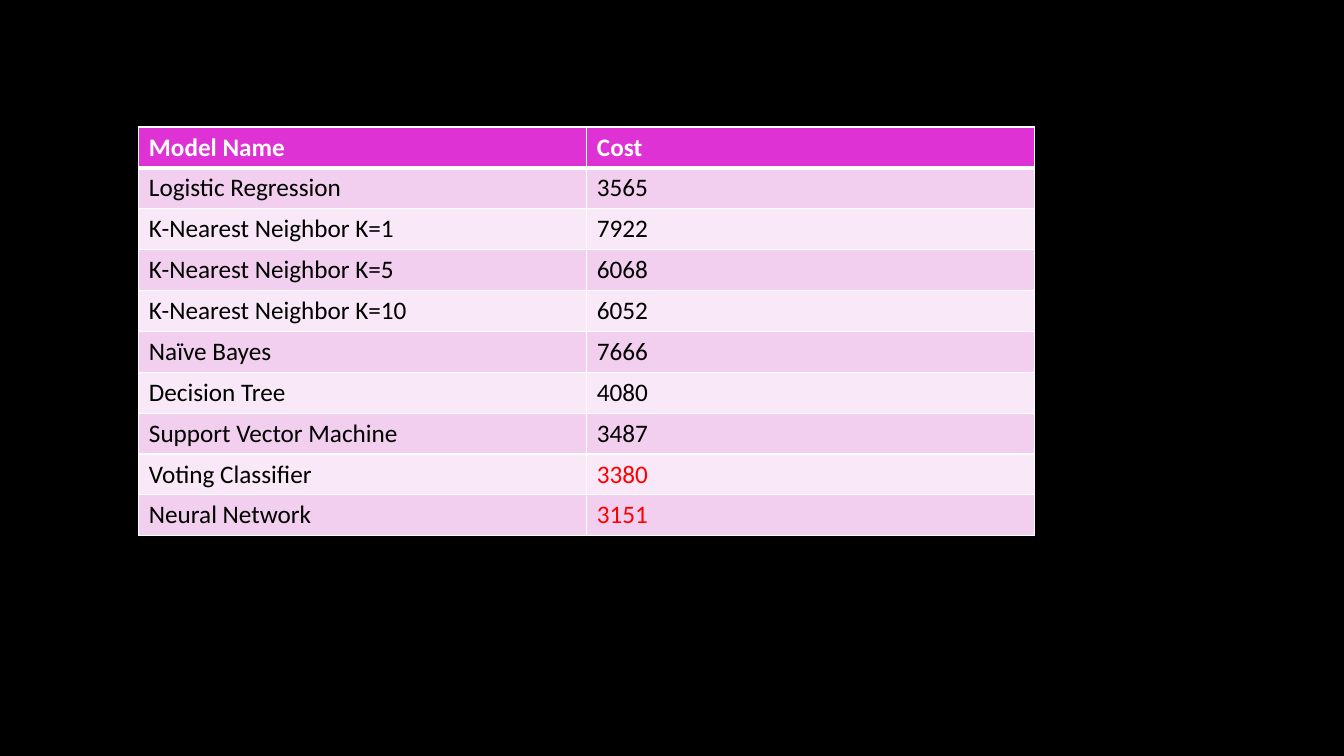
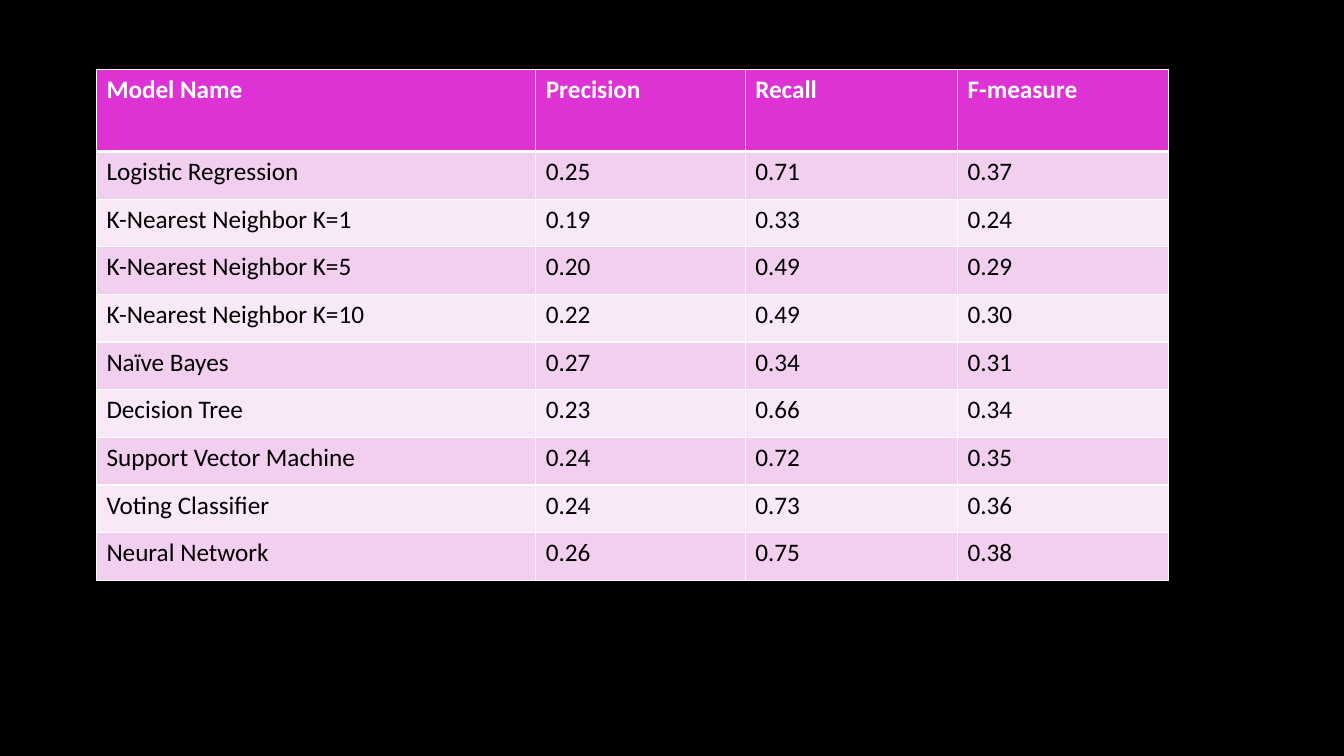
from lxml.etree import SubElement
from pptx import Presentation
from pptx.dml.color import RGBColor
from pptx.oxml.ns import qn
from pptx.util import Cm, Pt

BLACK = RGBColor(0x00, 0x00, 0x00)
WHITE = RGBColor(0xFF, 0xFF, 0xFF)
RED = RGBColor(0xFF, 0x00, 0x00)
MAGENTA = RGBColor(0xDE, 0x32, 0xD5)
PINK = RGBColor(0xF2, 0xCE, 0xEF)
PALE_PINK = RGBColor(0xF9, 0xE8, 0xF7)

RESULTS = [
    ("Logistic Regression", "3565", "0.25", "0.71", "0.37"),
    ("K-Nearest Neighbor K=1", "7922", "0.19", "0.33", "0.24"),
    ("K-Nearest Neighbor K=5", "6068", "0.20", "0.49", "0.29"),
    ("K-Nearest Neighbor K=10", "6052", "0.22", "0.49", "0.30"),
    ("Naïve Bayes", "7666", "0.27", "0.34", "0.31"),
    ("Decision Tree", "4080", "0.23", "0.66", "0.34"),
    ("Support Vector Machine", "3487", "0.24", "0.72", "0.35"),
    ("Voting Classifier", "3380", "0.24", "0.73", "0.36"),
    ("Neural Network", "3151", "0.26", "0.75", "0.38"),
]
BEST_COSTS = {"3380", "3151"}


class Deck:
    font_name = "Calibri"
    font_size = Pt(18)
    thin = Pt(1)
    thick = Pt(3)

    def __init__(self):
        self.presentation = Presentation()
        self.presentation.slide_width = Cm(33.87)
        self.presentation.slide_height = Cm(19.05)
        self.slide = None

    def add_slide(self):
        self.slide = self.presentation.slides.add_slide(self.presentation.slide_layouts[6])
        fill = self.slide.background.fill
        fill.solid()
        fill.fore_color.rgb = BLACK

    def add_table(self, left, top, widths, header_height, row_height, rows, highlights=()):
        heights = [header_height] + [row_height] * (len(rows) - 1)
        frame = self.slide.shapes.add_table(
            len(rows), len(widths), Cm(left), Cm(top), Cm(sum(widths)), Cm(sum(heights)))
        table = frame.table
        for column, width in zip(table.columns, widths):
            column.width = Cm(width)
        for row, height in zip(table.rows, heights):
            row.height = Cm(height)
        for row_index, values in enumerate(rows):
            for column_index, text in enumerate(values):
                cell = table.cell(row_index, column_index)
                self.style_cell(cell, row_index)
                self.add_cell_text(cell, text, row_index == 0, text in highlights)

    def style_cell(self, cell, row_index):
        top = self.thick if row_index == 1 else self.thin
        bottom = self.thick if row_index == 0 else self.thin
        sides = {"a:lnL": self.thin, "a:lnR": self.thin, "a:lnT": top, "a:lnB": bottom}
        properties = cell._tc.get_or_add_tcPr()
        for tag, width in sides.items():
            line = SubElement(properties, qn(tag), w=str(int(width)))
            SubElement(SubElement(line, qn("a:solidFill")), qn("a:srgbClr"), val=str(WHITE))
        cell.fill.solid()
        if row_index == 0:
            cell.fill.fore_color.rgb = MAGENTA
        else:
            cell.fill.fore_color.rgb = PINK if row_index % 2 else PALE_PINK

    def add_cell_text(self, cell, text, is_header, is_highlight):
        run = cell.text_frame.paragraphs[0].add_run()
        run.text = text
        run.font.name = self.font_name
        run.font.size = self.font_size
        run.font.bold = is_header
        run.font.color.rgb = WHITE if is_header else RED if is_highlight else BLACK


def main():
    deck = Deck()

    deck.add_slide()
    costs = [("Model Name", "Cost")] + [result[:2] for result in RESULTS]
    deck.add_table(3.5, 3.2, [11.29] * 2, 1.03, 1.03, costs, BEST_COSTS)

    deck.add_slide()
    scores = [("Model Name", "Precision", "Recall", "F-measure")]
    scores += [(name, *values) for name, _, *values in RESULTS]
    deck.add_table(2.43, 1.76, [11.07, 5.28, 5.35, 5.31], 2.06, 1.2, scores)

    deck.presentation.save("out.pptx")


if __name__ == "__main__":
    main()
